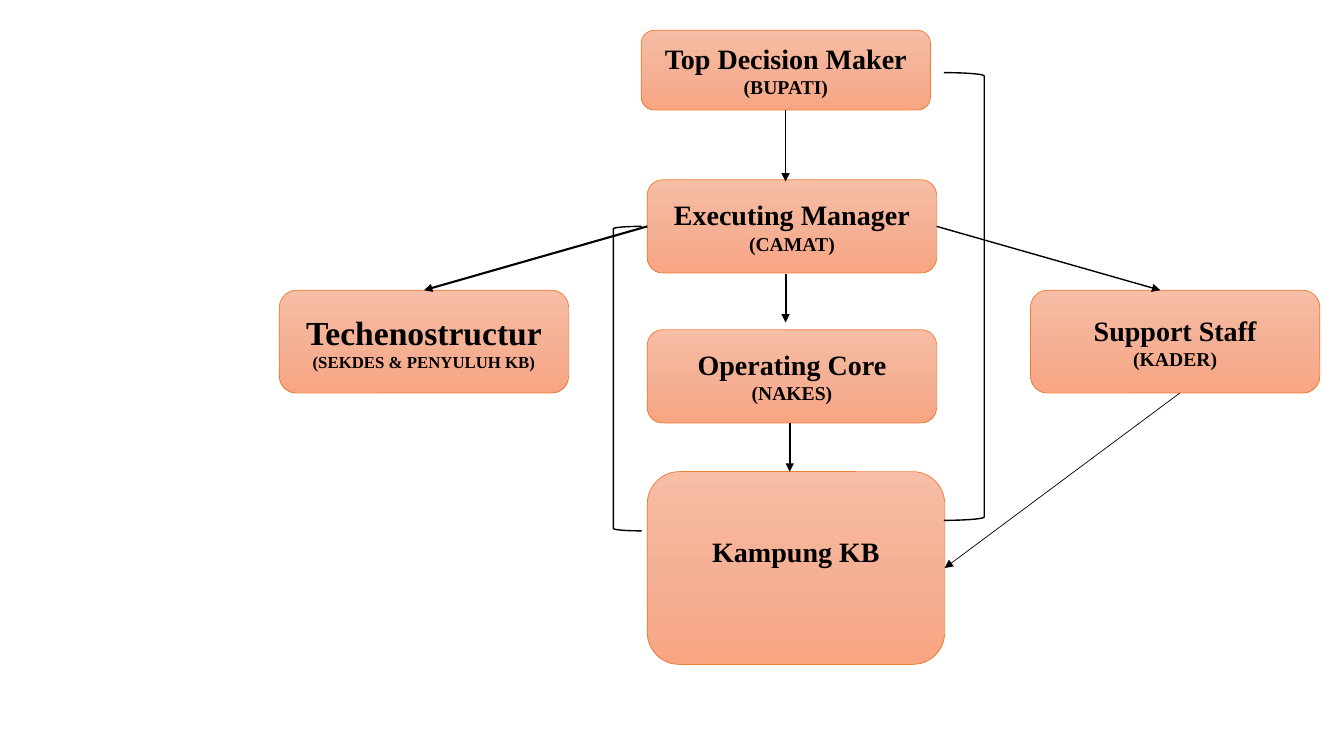
import copy
from dataclasses import dataclass

import lxml.etree
import pptx
import pptx.dml.color
import pptx.enum.shapes
import pptx.enum.text
import pptx.oxml.ns
import pptx.util

ROWS = 90
SLIDE_WIDTH = pptx.util.Inches(13.33)
SLIDE_HEIGHT = pptx.util.Inches(7.5)
CELL = SLIDE_HEIGHT / ROWS  # square grid, 160 columns by 90 rows

Kind = pptx.enum.shapes.MSO_SHAPE
Point = tuple[float, float]


@dataclass(frozen=True)
class Theme:
    font: str = "Times New Roman"
    text: str = "000000"
    edge: str = "ED7D31"
    gradient: tuple[str, ...] = ("F7BDA5", "F5B196", "F8A582")
    title: float = 20
    large_title: float = 24
    role: float = 14
    small_role: float = 12
    hairline: float = 0.5
    thin: float = 1
    thick: float = 1.5


THEME = Theme()


@dataclass(frozen=True)
class Unit:
    title: str
    role: str
    column: float
    row: float
    height: float
    width: float = 34.44
    title_size: float = THEME.title
    role_size: float = THEME.role
    lift: float = 0  # extra bottom margin, in rows

    @property
    def bottom(self) -> float:
        return self.row + self.height

    @property
    def middle(self) -> float:
        return self.row + self.height / 2

    @property
    def right(self) -> float:
        return self.column + self.width

    @property
    def top_center(self) -> Point:
        return self.column + self.width / 2, self.row


@dataclass(frozen=True)
class Arrow:
    start: Point
    end: Point
    weight: float


@dataclass(frozen=True)
class Bracket:
    kind: Kind
    column: float
    row: float
    width: float
    height: float


MAIN_COLUMN = 77.04
SIDE_ROW = 34.55
AXIS = 93.5

DECISION = Unit("Top Decision Maker", "(BUPATI)", 76.32, 3.6, 9.5)
MANAGER = Unit("Executing Manager", "(CAMAT)", MAIN_COLUMN, 21.4, 11.1)
CORE = Unit("Operating Core", "(NAKES)", MAIN_COLUMN, 39.25, 11.1)
VILLAGE = Unit("Kampung KB", "", MAIN_COLUMN, 56.15, 22.95, width=35.4, lift=4)
TECHNO = Unit("Techenostructur", "(SEKDES & PENYULUH KB)", 33.25, SIDE_ROW, 12.25,
              title_size=THEME.large_title, role_size=THEME.small_role)
SUPPORT = Unit("Support Staff", "(KADER)", 122.65, SIDE_ROW, 12.25)

UNITS = (DECISION, MANAGER, CORE, VILLAGE, TECHNO, SUPPORT)

ARROWS = (
    Arrow((AXIS, 32.65), (AXIS, 38.4), THEME.thick),
    Arrow((94, CORE.bottom), (94, VILLAGE.row), THEME.thick),
    Arrow((MANAGER.column, MANAGER.middle), TECHNO.top_center, THEME.thick),
    Arrow((AXIS, DECISION.bottom), (AXIS, 21.6), THEME.thin),
    Arrow((MANAGER.right, MANAGER.middle), (138.1, SUPPORT.row), THEME.thin),
    Arrow((140.4, SUPPORT.bottom), (VILLAGE.right, VILLAGE.middle), THEME.hairline),
)

BRACKETS = (
    Bracket(Kind.LEFT_BRACKET, 73, MANAGER.middle, 3.36, 36.25),
    Bracket(Kind.RIGHT_BRACKET, 112.35, 8.65, 4.8, 53.3),
)


def grid(*cells: float) -> list[pptx.util.Emu]:
    """Convert columns and rows to lengths on the slide."""
    return [pptx.util.Emu(round(cell * CELL)) for cell in cells]


def color(code: str) -> pptx.dml.color.RGBColor:
    return pptx.dml.color.RGBColor.from_string(code)


def set_line(item, code: str, weight: float) -> None:
    item.line.color.rgb = color(code)
    item.line.width = pptx.util.Pt(weight)


def fill_gradient(shape) -> None:
    """Fill from top to bottom with the theme's evenly spaced colours."""
    shape.fill.gradient()
    shape.fill.gradient_angle = 270
    stops = shape._element.spPr.find(".//" + pptx.oxml.ns.qn("a:gsLst"))
    while len(stops) < len(THEME.gradient):
        stops.append(copy.deepcopy(stops[0]))
    for index, (stop, code) in enumerate(zip(shape.fill.gradient_stops, THEME.gradient)):
        stop.position = index / (len(THEME.gradient) - 1)
        stop.color.rgb = color(code)


def add_span(para, text: str, size: float) -> None:
    para.alignment = pptx.enum.text.PP_ALIGN.CENTER
    span = para.add_run()
    span.text = text
    span.font.name = THEME.font
    span.font.size = pptx.util.Pt(size)
    span.font.bold = True
    span.font.color.rgb = color(THEME.text)


def add_unit(page, unit: Unit) -> None:
    box = page.shapes.add_shape(Kind.ROUNDED_RECTANGLE,
                                *grid(unit.column, unit.row, unit.width, unit.height))
    box.shadow.inherit = False
    fill_gradient(box)
    set_line(box, THEME.edge, THEME.hairline)
    frame = box.text_frame
    frame.word_wrap = True
    frame.vertical_anchor = pptx.enum.text.MSO_ANCHOR.MIDDLE
    frame.margin_bottom += grid(unit.lift)[0]
    add_span(frame.paragraphs[0], unit.title, unit.title_size)
    if unit.role:
        add_span(frame.add_paragraph(), unit.role, unit.role_size)


def add_arrow(page, arrow: Arrow) -> None:
    connector = page.shapes.add_connector(pptx.enum.shapes.MSO_CONNECTOR.STRAIGHT,
                                          *grid(*arrow.start, *arrow.end))
    set_line(connector, THEME.text, arrow.weight)
    qn = pptx.oxml.ns.qn
    lxml.etree.SubElement(connector.line._get_or_add_ln(), qn("a:tailEnd"), type="triangle")
    lxml.etree.SubElement(connector._element.spPr, qn("a:effectLst"))


def add_bracket(page, bracket: Bracket) -> None:
    shape = page.shapes.add_shape(
        bracket.kind, *grid(bracket.column, bracket.row, bracket.width, bracket.height))
    shape.shadow.inherit = False
    shape.fill.background()
    set_line(shape, THEME.text, THEME.thin)


def main() -> None:
    deck = pptx.Presentation()
    deck.slide_width, deck.slide_height = SLIDE_WIDTH, SLIDE_HEIGHT
    page = deck.slides.add_slide(deck.slide_layouts[6])
    for unit in UNITS:
        add_unit(page, unit)
    for arrow in ARROWS:
        add_arrow(page, arrow)
    for bracket in BRACKETS:
        add_bracket(page, bracket)
    deck.save("out.pptx")


if __name__ == "__main__":
    main()
